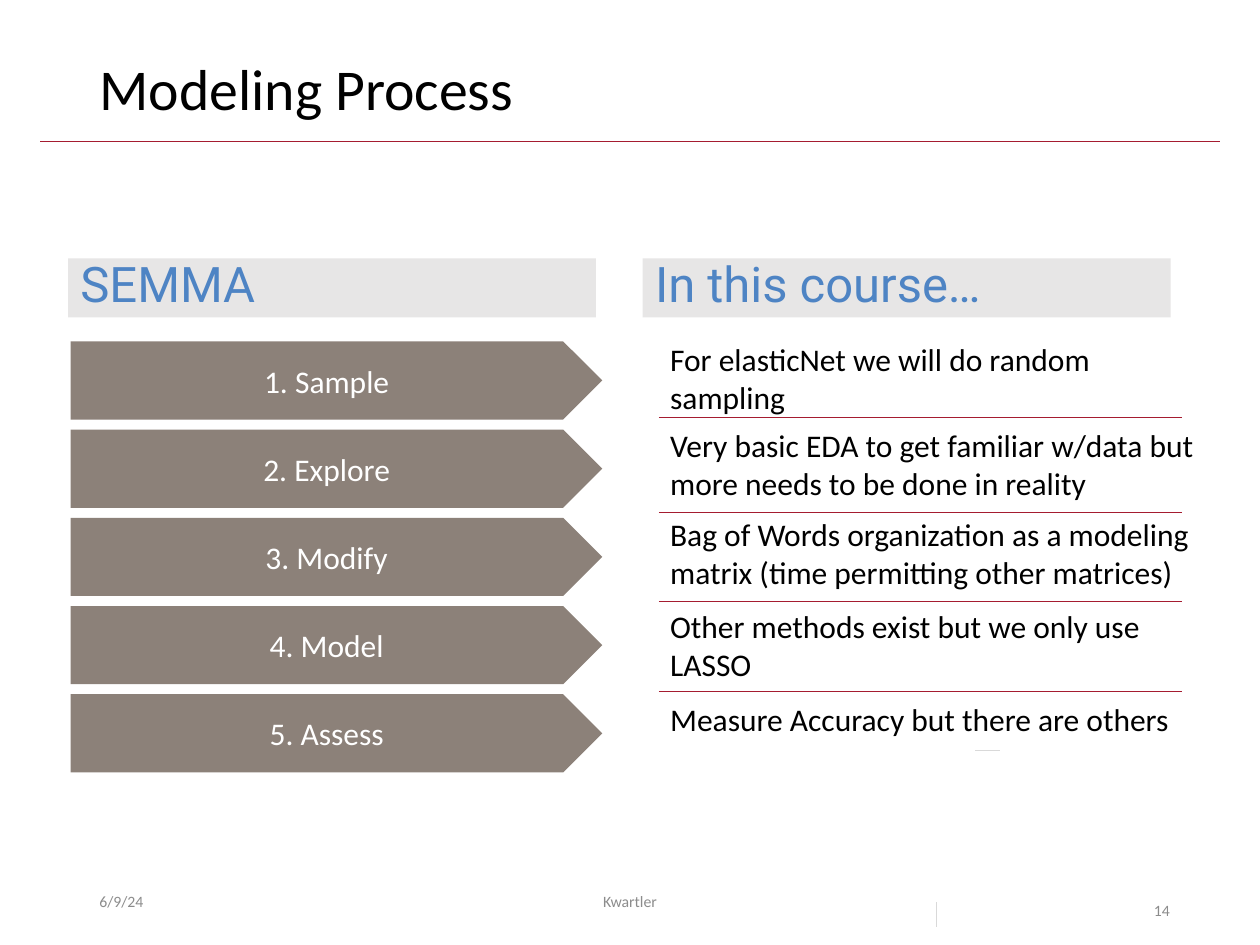
from lxml import etree
from pptx import Presentation
from pptx.dml import color
from pptx.enum import shapes, text
from pptx.oxml import ns
from pptx.util import Inches, Pt

GREY, LIGHT, CRIMSON = "8C8C8C", "D9D9D9", "A51C30"
STEPS = ["1. Sample", "2. Explore", "3. Modify", "4. Model", "5. Assess"]
NOTES = [
    ("For elasticNet we will do random sampling", 2.65, 4.18, 0.71),
    ("Very basic EDA to get familiar w/data but more needs to be done in reality",
     3.33, 4.78, 0.71),
    ("Bag of Words organization as a modeling matrix (time permitting other matrices)",
     4.04, 4.55, 0.71),
    ("Other methods exist but we only use LASSO", 4.77, 4.18, 0.71),
    ("Measure Accuracy but there are others", 5.51, 4.18, 0.4),
]


def rgb(value):
    return color.RGBColor.from_string(value)


def write(sp, words, size, hex_color, font="Calibri", align="LEFT",
          anchor="TOP", spacing=None):
    tf = sp.text_frame
    tf.word_wrap = True
    tf.vertical_anchor = getattr(text.MSO_ANCHOR, anchor)
    p = tf.paragraphs[0]
    p.alignment = getattr(text.PP_ALIGN, align)
    if spacing:
        p.line_spacing = spacing
    r = p.add_run()
    r.text = words
    r.font.name = font
    r.font.size = Pt(size)
    r.font.color.rgb = rgb(hex_color)


def add_title(s, words):
    sp = s.shapes.title
    sp.left, sp.top = Inches(0.69), Inches(0.4)
    sp.width, sp.height = Inches(8.62), Inches(0.65)
    write(sp, words, 33, "000000", anchor="MIDDLE", spacing=0.9)


def add_text(s, box, words, size, hex_color, **style):
    sp = s.shapes.add_textbox(*map(Inches, box))
    write(sp, words, size, hex_color, **style)


def add_block(s, kind, box, fill, words, size, hex_color, **style):
    sp = s.shapes.add_shape(kind, *map(Inches, box))
    sp.shadow.inherit = False
    sp.fill.solid()
    sp.fill.fore_color.rgb = rgb(fill)
    sp.line.fill.background()
    write(sp, words, size, hex_color, **style)


def add_line(s, x1, y1, x2, y2, hex_color):
    line = s.shapes.add_connector(
        shapes.MSO_CONNECTOR.STRAIGHT, *map(Inches, (x1, y1, x2, y2)))
    line.line.color.rgb = rgb(hex_color)
    line.line.width = Pt(0.5)
    etree.SubElement(line._element.spPr, ns.qn("a:effectLst"))


def add_heading(s, left, words):
    add_block(s, shapes.MSO_SHAPE.RECTANGLE, (left, 2.05, 4.19, 0.47), "E7E6E6",
              words, 28, "4E84C4", font="Roboto", spacing=0.8)


def main():
    prs = Presentation()
    prs.slide_width, prs.slide_height = Inches(10), Inches(7.5)
    s = prs.slides.add_slide(prs.slide_layouts[5])

    add_title(s, "Modeling Process")
    add_line(s, 0.32, 1.12, 9.68, 1.12, CRIMSON)

    for i, step in enumerate(STEPS):
        add_block(s, shapes.MSO_SHAPE.PENTAGON, (0.56, 2.71 + 0.7 * i, 4.22, 0.62),
                  "8C8179", step, 18, "FFFFFF", align="CENTER", anchor="MIDDLE")
    for note, top, width, height in NOTES:
        add_text(s, (5.22, top, width, height), note, 18, "000000")
    for y in (3.31, 4.07, 4.77, 5.49):
        add_line(s, 5.23, y, 9.38, y, CRIMSON)

    add_heading(s, 0.54, "SEMMA")
    add_heading(s, 5.1, "In this course…")

    add_line(s, 7.43, 7.16, 7.43, 7.36, LIGHT)
    add_line(s, 7.74, 5.96, 7.94, 5.96, LIGHT)
    add_text(s, (0.69, 6.95, 2.25, 0.4), "6/9/24", 9, GREY, anchor="MIDDLE")
    add_text(s, (3.31, 6.95, 3.38, 0.4), "Kwartler", 9, GREY,
             align="CENTER", anchor="MIDDLE")
    add_text(s, (9.06, 6.95, 0.94, 0.4), "14", 9, GREY, spacing=2.0)

    prs.save("out.pptx")


if __name__ == "__main__":
    main()
